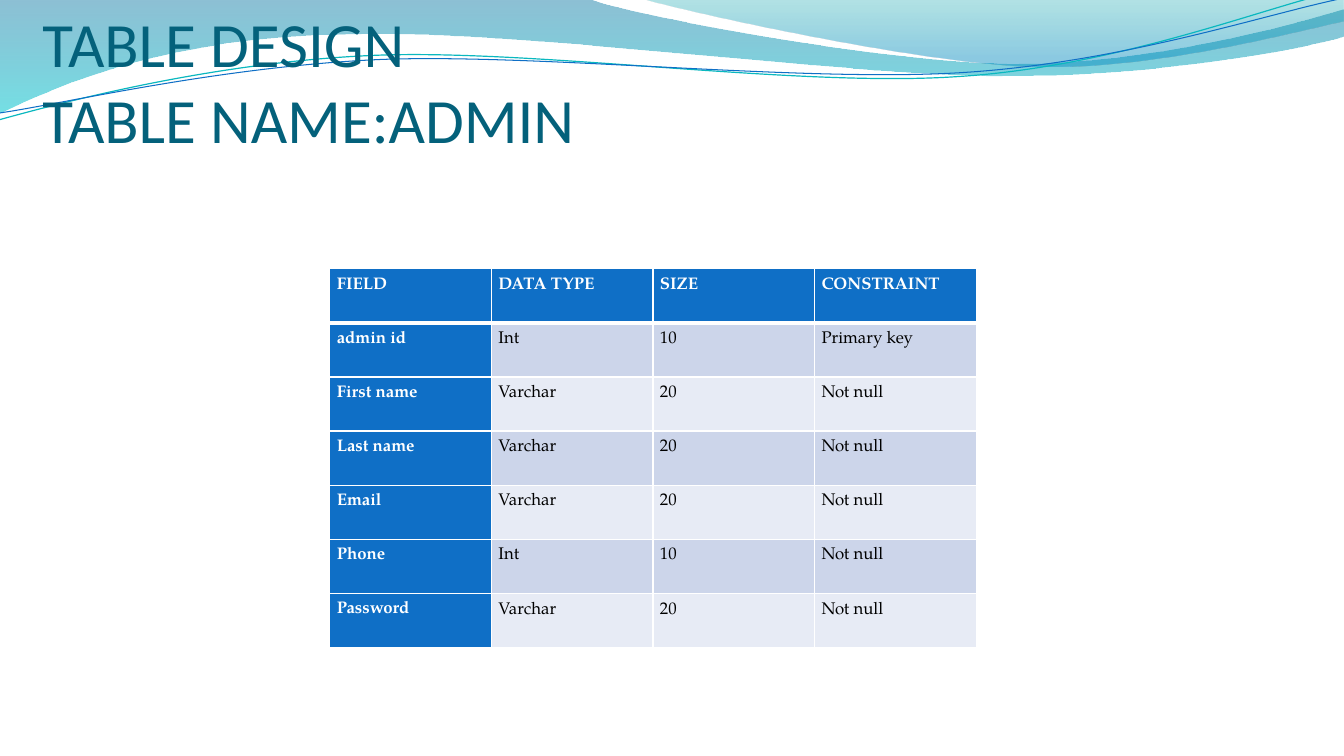
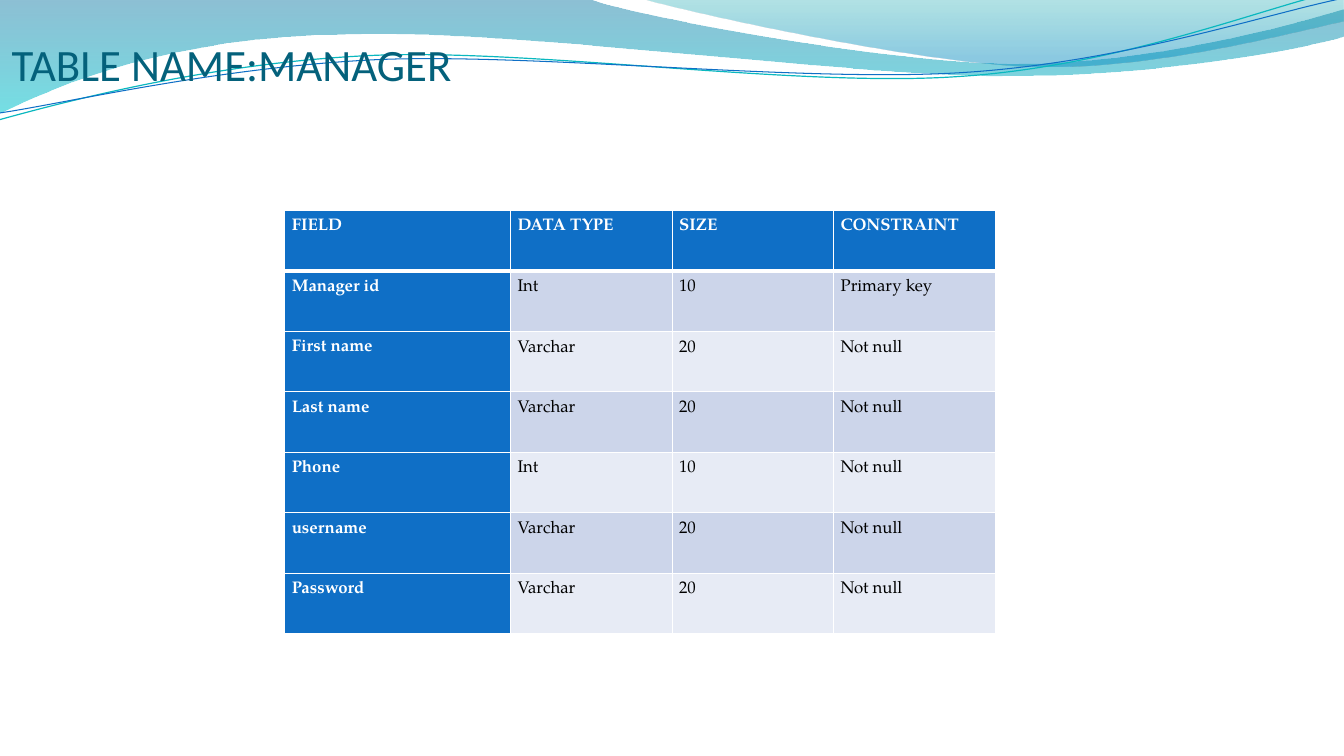
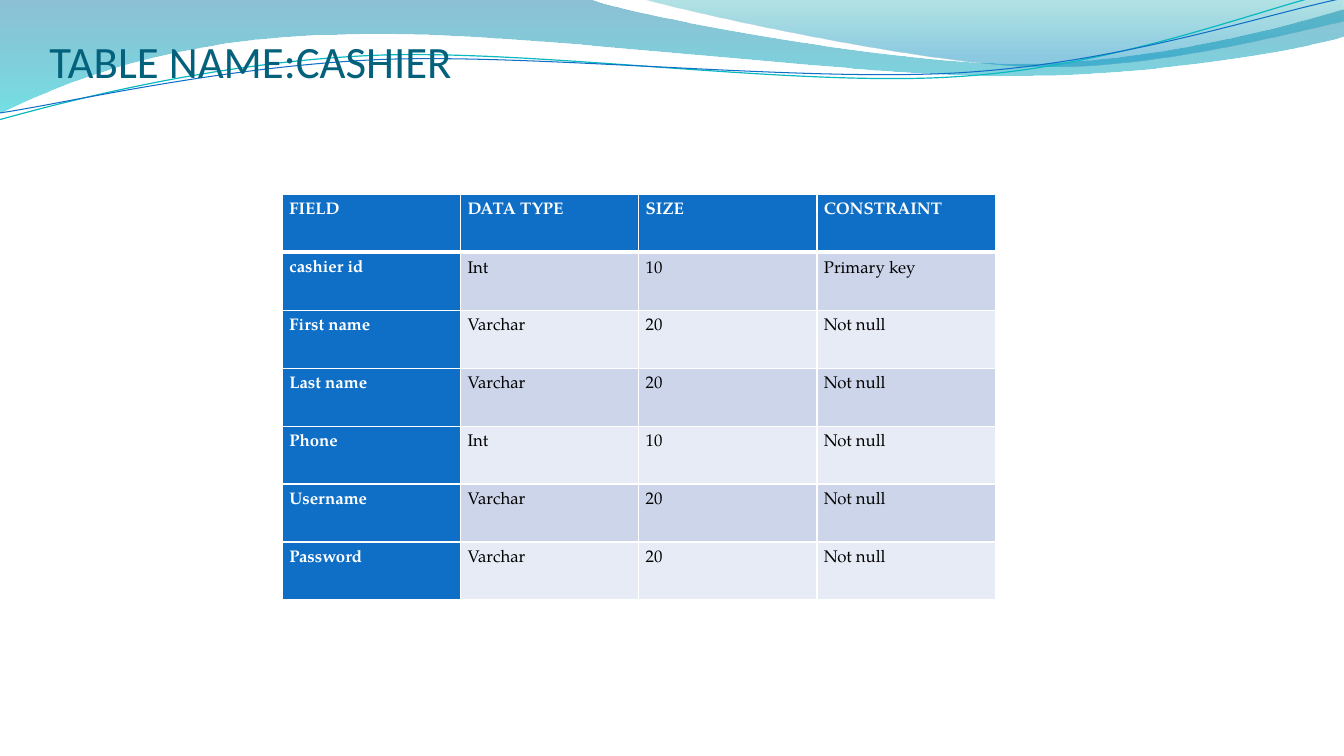
"""Build three table-design slides under a shared wave header."""
import dataclasses

import pptx
import pptx.dml.color
import pptx.enum.text
import pptx.oxml.ns
import pptx.util
from lxml import etree

Pt = pptx.util.Pt
RGB = pptx.dml.color.RGBColor.from_string
qn = pptx.oxml.ns.qn


@dataclasses.dataclass(frozen=True)
class Theme:
    title: str = "04617B"
    head: str = "0F6FC6"
    bands: tuple = ("CCD5EA", "E7EBF5")
    white: str = "FFFFFF"
    black: str = "000000"
    teal: str = "0AB8BF"
    wide_wave: tuple = ((0, "0074A1", 45), (1, "00C6CF", 55))
    right_wave: tuple = ((0, "00A1A9", 30), (0.8, "008BBF", 45))
    title_font: str = "Calibri"
    table_font: str = "TeX Gyre Pagella"
    title_size: float = 32
    large_title_size: float = 45
    table_size: float = 12


theme = Theme()


def write(tf, text, *, size, color, font, bold=False, spacing=None):
    tf.text = text
    p = tf.paragraphs[0]
    p.alignment = pptx.enum.text.PP_ALIGN.LEFT
    p.line_spacing = spacing
    for r in p.runs:
        r.font.size = Pt(size)
        r.font.name = font
        r.font.bold = bold
        r.font.color.rgb = RGB(color)


waves = [
    dict(start=(0, 0), stops=theme.wide_wave, segments=[
        (422.6, -0.4), (456.5, 12.2, 637.2, 45.6, 727.9, 45.6),
        (819.4, 45.6, 920.2, 18.7, 959.8, 6.5), (961.2, 25.9),
        (943.9, 31.7, 835.2, 54.9, 715.7, 54.3), (596.9, 54.3, 366.5, 20.4, 247, 24.7),
        (123.8, 25.9, 43.9, 59.8, -0.7, 81.4), (0, 0)]),
    dict(start=(460, -0.4), stops=theme.right_wave, segments=[
        (488.9, 7.9, 654.5, 44.6, 738, 47), (821.5, 49.7, 923, 23, 959.8, 15.1),
        (959.8, 0), (460, -0.4)]),
    dict(start=(-2.3, 63), line=theme.teal, width=0.85, segments=[
        (45.1, 52.3, 152.1, 29.2, 266, 29.6), (379.9, 29.9, 567.7, 66.9, 683.1, 64.4),
        (798.6, 62.6, 902.7, 25.7, 960, 15.5)]),
    dict(start=(-1.3, 58), line=theme.head, width=0.75, segments=[
        (44.4, 53.6, 157.1, 32.3, 272.4, 32.7), (386.9, 33.8, 572.3, 63.4, 687, 61.6),
        (802.4, 59.8, 904.7, 30.1, 962, 21.2)]),
]

header = ("FIELD", "DATA TYPE", "SIZE", "CONSTRAINT")
sizes = {"Int": "10", "Varchar": "20"}
slides = [
    dict(title="TABLE DESIGN\vTABLE NAME:ADMIN", title_size=theme.large_title_size,
         title_box=(30.2, 13.7, 882, 97.9),
         corner=(235.6, 192), widths=(115.45,) * 4, row=38.65,
         fields=[("admin id", "Int"), ("First name", "Varchar"), ("Last name", "Varchar"),
                 ("Email", "Varchar"), ("Phone", "Int"), ("Password", "Varchar")]),
    dict(title="TABLE NAME:MANAGER", title_size=theme.title_size,
         title_box=(8.4, -15.8, 864.7, 80.6),
         corner=(203.4, 150.2), widths=(161.3,) + (115.4,) * 3, row=43.2,
         fields=[("Manager id", "Int"), ("First name", "Varchar"), ("Last name", "Varchar"),
                 ("Phone", "Int"), ("username", "Varchar"), ("Password", "Varchar")]),
    dict(title="TABLE NAME:CASHIER", title_size=theme.title_size,
         title_box=(35.3, 0, 871.2, 62.6),
         corner=(201.7, 138.8), widths=(127.3,) * 4, row=41.4,
         fields=[("cashier id", "Int"), ("First name", "Varchar"), ("Last name", "Varchar"),
                 ("Phone", "Int"), ("Username", "Varchar"), ("Password", "Varchar")]),
]

prs = pptx.Presentation()
prs.slide_width, prs.slide_height = Pt(960), Pt(540)

for content in slides:
    s = prs.slides.add_slide(prs.slide_layouts[5])
    sp = s.shapes.title
    sp.left, sp.top, sp.width, sp.height = map(Pt, content["title_box"])
    tf = sp.text_frame
    tf.auto_size = pptx.enum.text.MSO_AUTO_SIZE.NONE
    tf.vertical_anchor = pptx.enum.text.MSO_ANCHOR.BOTTOM
    tf.margin_left = tf.margin_right = tf.margin_bottom = 0
    tf.margin_top = Pt(3.6)
    write(tf, content["title"], size=content["title_size"], color=theme.title,
          font=theme.title_font)

    rows = [header]
    for i, (field, kind) in enumerate(content["fields"]):
        rows.append((field, kind, sizes[kind], "Not null" if i else "Primary key"))
    widths = content["widths"]
    table = s.shapes.add_table(len(rows), len(widths), *map(Pt, content["corner"]),
                               Pt(sum(widths)), Pt(content["row"] * len(rows))).table
    table.first_col = True
    for column, width in zip(table.columns, widths):
        column.width = Pt(width)
    for i, row in enumerate(rows):
        table.rows[i].height = Pt(content["row"])
        for j, text in enumerate(row):
            cell = table.cell(i, j)
            cell.margin_left = cell.margin_right = Pt(5)
            cell.margin_top = cell.margin_bottom = 0
            tcPr = cell._tc.get_or_add_tcPr()
            for side in "LRTB":
                thick = (i, side) in ((0, "B"), (1, "T"))
                ln = etree.SubElement(tcPr, qn(f"a:ln{side}"), w=str(Pt(3 if thick else 1)))
                fill = etree.SubElement(ln, qn("a:solidFill"))
                etree.SubElement(fill, qn("a:srgbClr"), val=theme.white)
            heading = i == 0 or j == 0
            cell.fill.solid()
            cell.fill.fore_color.rgb = RGB(theme.head if heading else theme.bands[(i - 1) % 2])
            write(cell.text_frame, text, size=theme.table_size, font=theme.table_font,
                  color=theme.white if heading else theme.black, bold=heading, spacing=1.5)

for depth, wave in enumerate(waves):
    points = [(Pt(x), Pt(y)) for seg in wave["segments"] for x, y in zip(seg[::2], seg[1::2])]
    builder = s.shapes.build_freeform(*map(Pt, wave["start"]))
    builder.add_line_segments(points, close="stops" in wave)
    sp = builder.convert_to_shape()
    sp.shadow.inherit = False

    lines = iter(list(sp.element.iter(qn("a:lnTo"))))
    for seg in wave["segments"]:
        first = next(lines)
        if len(seg) == 6:
            curve = etree.Element(qn("a:cubicBezTo"))
            first.addprevious(curve)
            for line in (first, next(lines), next(lines)):
                curve.append(line[0])
                line.getparent().remove(line)

    if "stops" in wave:
        sp.line.fill.background()
        sp.fill.gradient()
        sp.fill.gradient_angle = 270
        for stop, (position, color, _) in zip(sp.fill.gradient_stops, wave["stops"]):
            stop.position = position
            stop.color.rgb = RGB(color)
        for clr, (_, _, opacity) in zip(list(sp.element.iter(qn("a:srgbClr"))), wave["stops"]):
            etree.SubElement(clr, qn("a:alpha"), val=str(opacity * 1000))
    else:
        sp.fill.background()
        sp.line.color.rgb = RGB(wave["line"])
        sp.line.width = Pt(wave["width"])
        sp.rotation = 357.3
    prs.slide_master.shapes.element.insert(2 + depth, sp.element)

prs.save("out.pptx")
